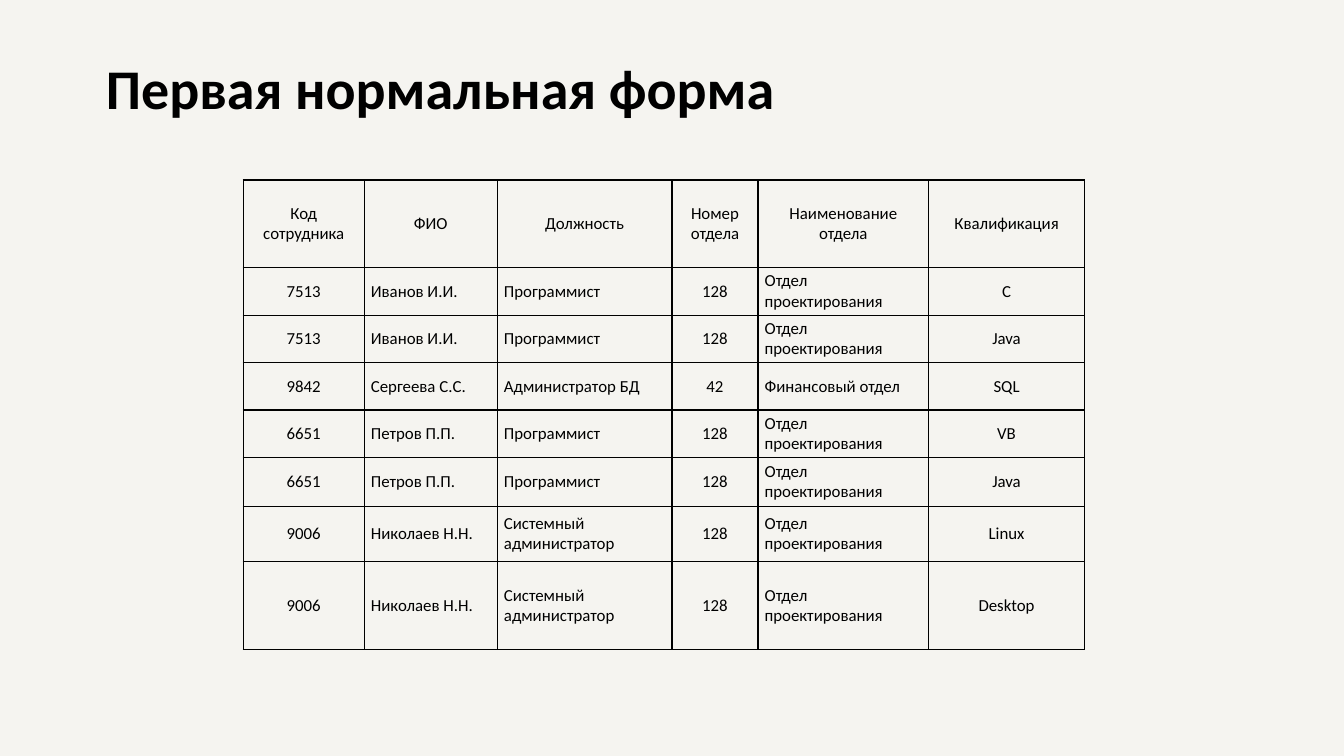
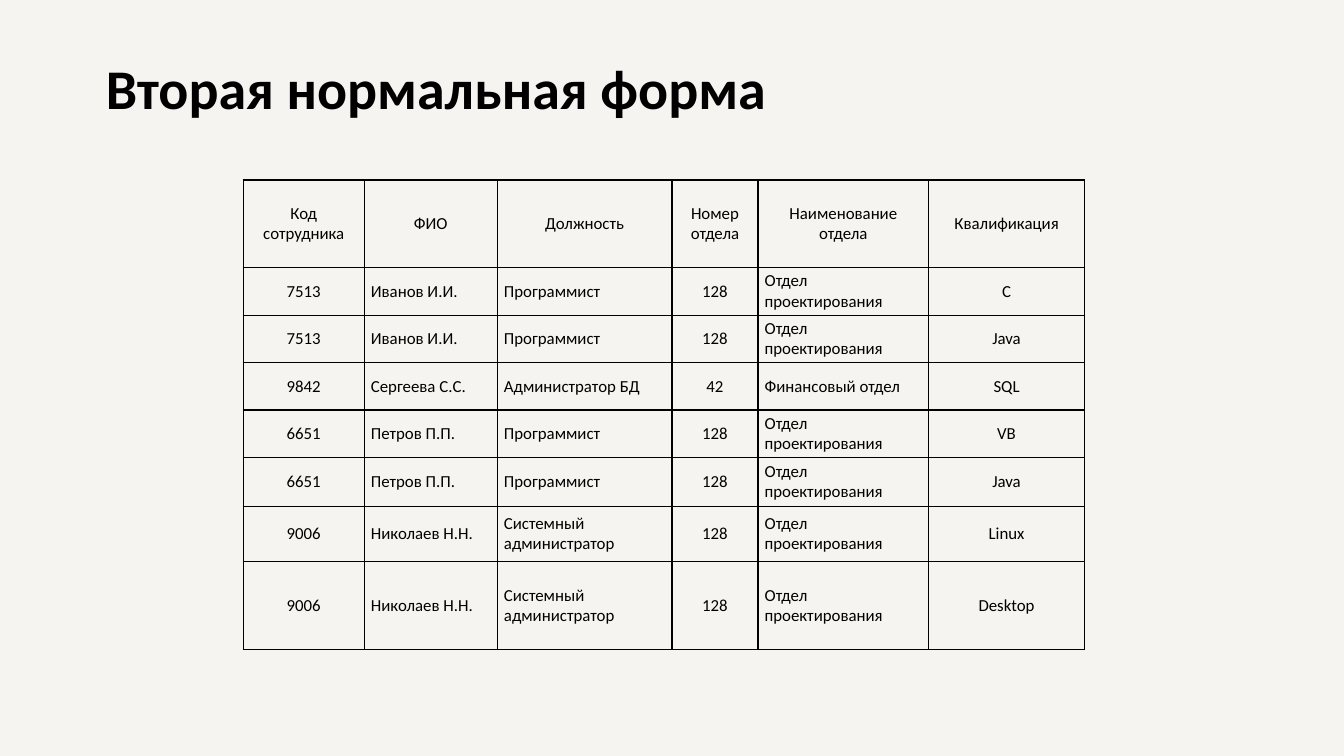
from lxml import etree
from pptx import Presentation, util as u
from pptx.dml.color import RGBColor
from pptx.enum import text
from pptx.oxml import ns

COLORS = {"paper": "F5F4F0", "ink": "000000"}
FONT = "Calibri"
SLIDE_W = u.Inches(10)
SLIDE_H = SLIDE_W * 9 // 16
TITLE_BOX = (6.88, 5.33, 86.2, 19.38)
TABLE_BOX = (18.1, 23.8, 62.6, 62)
COLUMN_PARTS = (90, 99, 130, 64, 127, 116)
ROW_PARTS = (65, 35, 35, 35, 35, 36, 41, 65)
JUSTIFIED_COLUMNS = (1, 2, 4)

TITLES = ("Первая нормальная форма", "Вторая нормальная форма")
HEADER = ("Код сотрудника", "ФИО", "Должность", "Номер отдела",
          "Наименование отдела", "Квалификация")
DESIGN = ("128", "Отдел проектирования")
FINANCE = ("42", "Финансовый отдел")
IVANOV = ("7513", "Иванов И.И.", "Программист", *DESIGN)
SERGEEVA = ("9842", "Сергеева С.С.", "Администратор БД", *FINANCE)
PETROV = ("6651", "Петров П.П.", "Программист", *DESIGN)
NIKOLAEV = ("9006", "Николаев Н.Н.", "Системный администратор", *DESIGN)
EMPLOYEES = (
    (*IVANOV, "C"),
    (*IVANOV, "Java"),
    (*SERGEEVA, "SQL"),
    (*PETROV, "VB"),
    (*PETROV, "Java"),
    (*NIKOLAEV, "Linux"),
    (*NIKOLAEV, "Desktop"),
)


def scale(box):
    """Turn percentages of the slide into lengths."""
    return [int(share * side / 100) for share, side in zip(box, (SLIDE_W, SLIDE_H) * 2)]


def style_text(p, size, align, bold=False):
    """Give a paragraph the shared font and colour."""
    p.alignment = align
    p.font.name, p.font.size, p.font.bold = FONT, u.Pt(size), bold
    p.font.color.rgb = RGBColor.from_string(COLORS["ink"])


def add_title(s, title, box):
    """Place and format the title placeholder."""
    sp = s.shapes.title
    sp.left, sp.top, sp.width, sp.height = scale(box)
    tf = sp.text_frame
    tf.text = title
    tf.word_wrap = True
    tf.auto_size = text.MSO_AUTO_SIZE.NONE
    tf.vertical_anchor = text.MSO_ANCHOR.TOP
    tf.margin_left = tf.margin_right = tf.margin_top = tf.margin_bottom = u.Inches(0.1)
    style_text(tf.paragraphs[0], 30, text.PP_ALIGN.LEFT, bold=True)


def add_borders(cell):
    """Draw a thin line on every side of a cell."""
    props = cell._tc.get_or_add_tcPr()
    for i, side in enumerate(("lnL", "lnR", "lnT", "lnB")):
        line = etree.Element(ns.qn(f"a:{side}"), w=str(u.Pt(0.75)))
        fill = etree.SubElement(line, ns.qn("a:solidFill"))
        etree.SubElement(fill, ns.qn("a:srgbClr"), val=COLORS["ink"])
        props.insert(i, line)


def fill_cell(cell, value, align):
    """Write and format one table cell."""
    cell.text = value
    cell.fill.background()
    cell.vertical_anchor = text.MSO_ANCHOR.MIDDLE
    cell.margin_left = cell.margin_right = u.Pt(3.6)
    cell.margin_top = cell.margin_bottom = u.Pt(1.8)
    style_text(cell.text_frame.paragraphs[0], 9, align)
    add_borders(cell)


def add_employee_table(s, rows, box):
    """Build the employee table inside its box."""
    left, top, width, height = scale(box)
    table = s.shapes.add_table(len(rows), len(HEADER), left, top, width, height).table
    table.first_row = table.horz_banding = False
    for column, part in zip(table.columns, COLUMN_PARTS):
        column.width = width * part // sum(COLUMN_PARTS)
    for row, part in zip(table.rows, ROW_PARTS):
        row.height = height * part // sum(ROW_PARTS)
    for i, values in enumerate(rows):
        for j, value in enumerate(values):
            justified = i > 0 and j in JUSTIFIED_COLUMNS
            align = text.PP_ALIGN.JUSTIFY if justified else text.PP_ALIGN.CENTER
            fill_cell(table.cell(i, j), value, align)


def add_form_slide(prs, title):
    """Add a slide on one normal form."""
    s = prs.slides.add_slide(prs.slide_layouts[5])
    add_title(s, title, TITLE_BOX)
    add_employee_table(s, (HEADER, *EMPLOYEES), TABLE_BOX)


def main():
    """Build and save the presentation."""
    prs = Presentation()
    prs.slide_width, prs.slide_height = SLIDE_W, SLIDE_H
    background = prs.slide_master.background.fill
    background.solid()
    background.fore_color.rgb = RGBColor.from_string(COLORS["paper"])
    for title in TITLES:
        add_form_slide(prs, title)
    prs.save("out.pptx")


if __name__ == "__main__":
    main()
